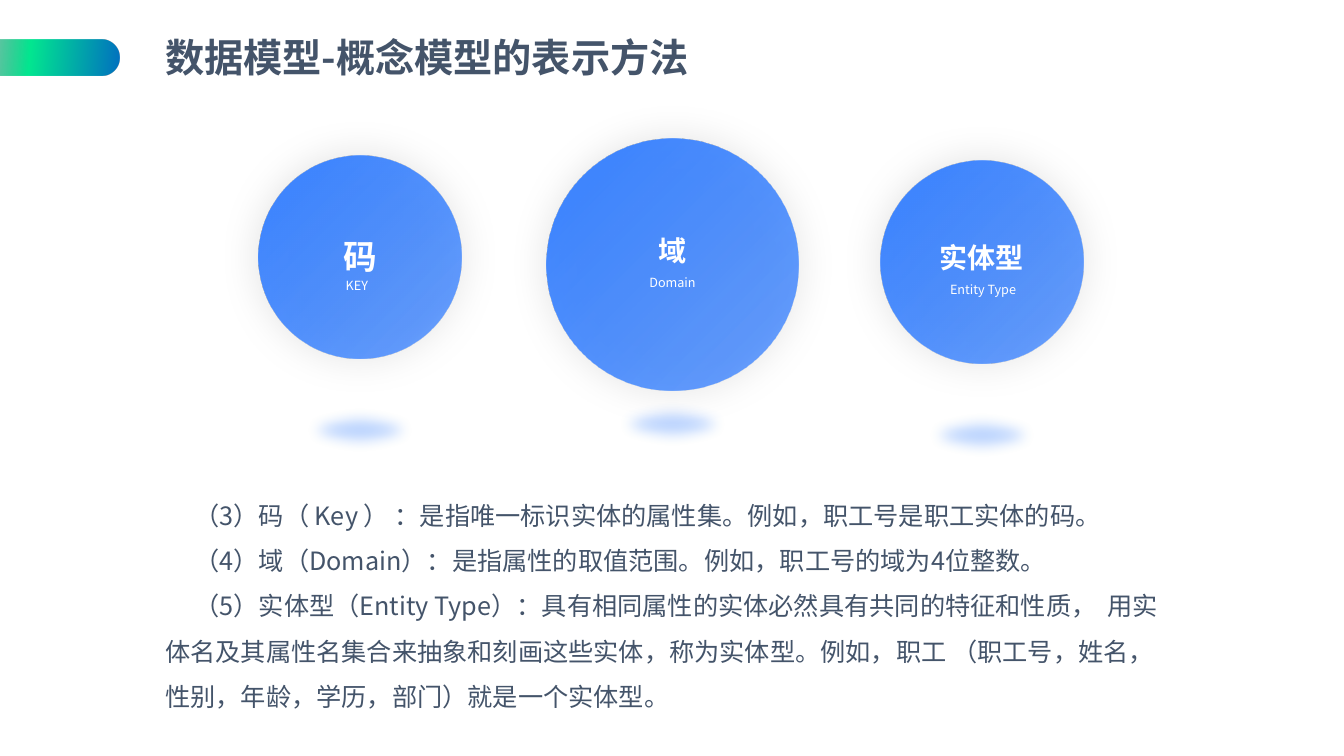
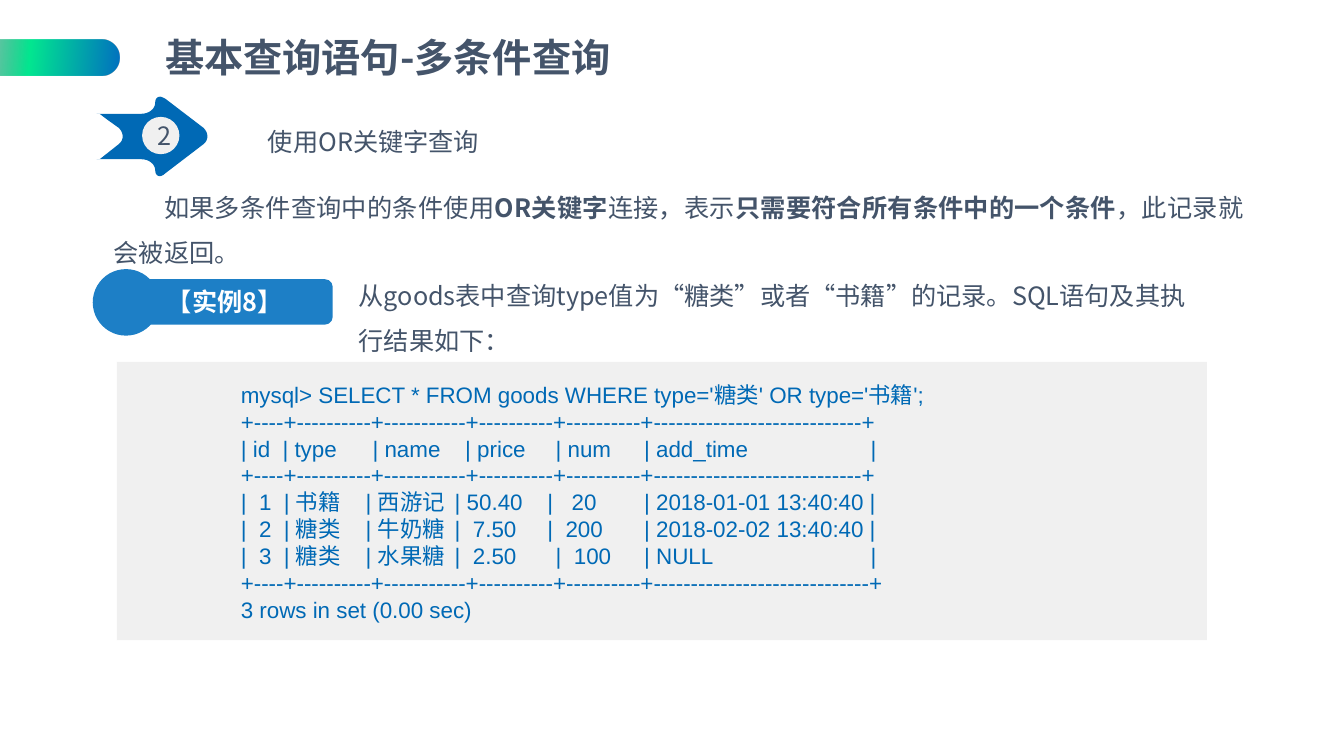
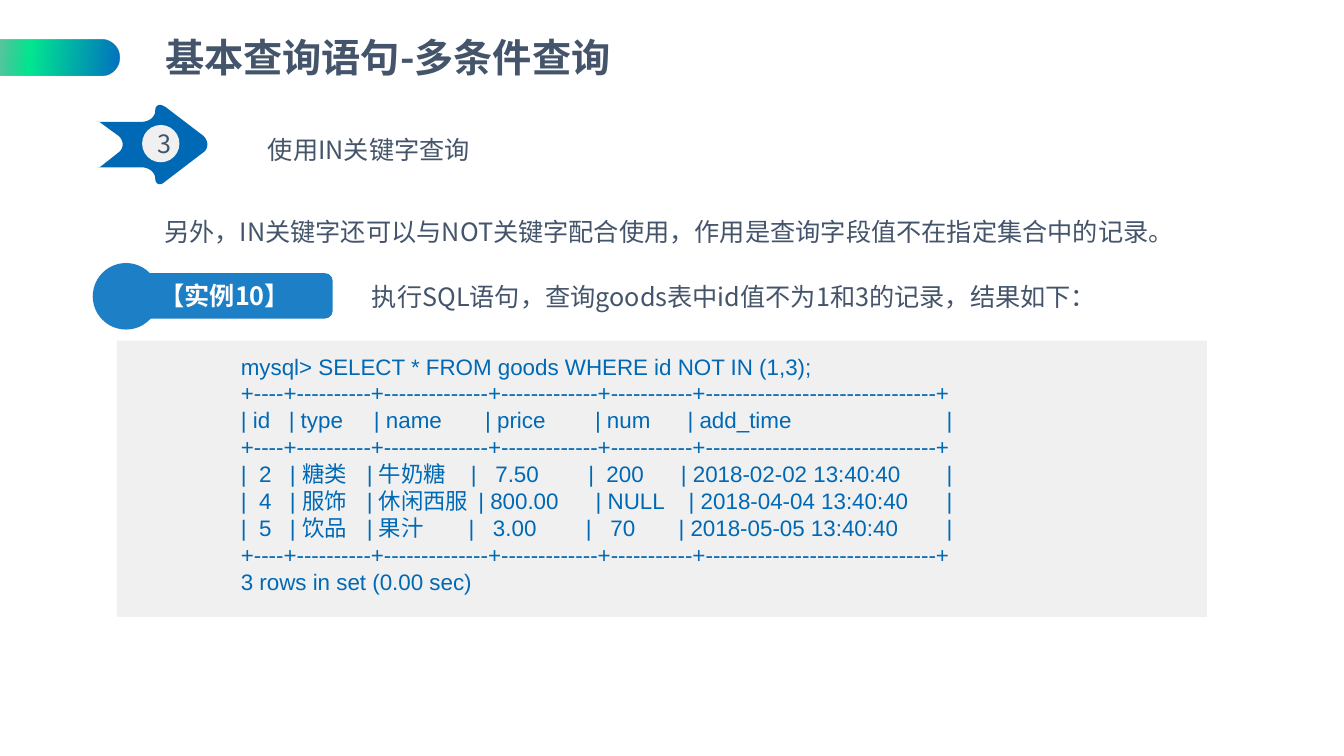
"""Build three lesson slides on data models and multi-condition queries."""
from lxml import etree
from pptx import Presentation
from pptx.dml.color import RGBColor
from pptx.enum.shapes import MSO_SHAPE
from pptx.enum.text import MSO_ANCHOR, PP_ALIGN
from pptx.oxml.ns import qn
from pptx.util import Inches, Pt

OVAL, ROUND, RECT = MSO_SHAPE.OVAL, MSO_SHAPE.ROUNDED_RECTANGLE, MSO_SHAPE.RECTANGLE
LEFT, MID, JUST = PP_ALIGN.LEFT, PP_ALIGN.CENTER, PP_ALIGN.JUSTIFY
TOP, MIDDLE = MSO_ANCHOR.TOP, MSO_ANCHOR.MIDDLE
SANS, CODE = "Noto Sans CJK SC", "Arial"
SLATE = RGBColor(0x44, 0x54, 0x6A)
WHITE = RGBColor(0xFF, 0xFF, 0xFF)
DEEP = RGBColor(0x00, 0x69, 0xB5)
BLUE = RGBColor(0x1D, 0x7F, 0xC6)
SKY = RGBColor(0x39, 0x82, 0xFF)
PALE = RGBColor(0xF0, 0xF0, 0xF0)
BLACK = RGBColor(0, 0, 0)
INK = RGBColor(0x27, 0x2D, 0x3D)
GREEN = RGBColor(0x03, 0xE7, 0x90)
OCEAN = RGBColor(0x00, 0x70, 0xC0)

BAR = [(0, INK, 0), (52, GREEN, 100), (100, OCEAN, 100)]
BALL = [(1, SKY, 100), (100, SKY, 73)]

DISCS = [
    dict(x=6.67, top=1.38, size=2.49, word="域", pt=20, word_y=2.27,
         sub="Domain", sub_x=6.67, sub_y=2.68, glow=3.96),
    dict(x=3.57, top=1.54, size=2.02, word="码", pt=24, word_y=2.29,
         sub="KEY", sub_x=3.54, sub_y=2.71, glow=4.02),
    dict(x=9.74, top=1.59, size=2.02, word="实体型", pt=20, word_y=2.34,
         sub="Entity Type", sub_x=9.75, sub_y=2.75, glow=4.07),
]
TERMS = [
    "（3）码（ Key ） ：是指唯一标识实体的属性集。例如，职工号是职工实体的码。",
    "（4）域（Domain）：是指属性的取值范围。例如，职工号的域为4位整数。",
    "（5）实体型（Entity Type）：具有相同属性的实体必然具有共同的特征和性质，  "
    "用实体名及其属性名集合来抽象和刻画这些实体，称为实体型。例如，职工 "
    "（职工号，姓名，性别，年龄，学历，部门）就是一个实体型。",
]
QUERIES = [
    dict(num="2", arrow=0.96, topic="使用OR关键字查询",
         body="如果多条件查询中的条件使用**OR关键字**连接，表示"
              "**只需要符合所有条件中的一个条件**，此记录就会被返回。",
         body_at=(1.03, 1.71, 11.4, 0.96), tag="【实例8】", tag_y=2.67,
         task="从goods表中查询type值为“糖类”或者“书籍”的记录。SQL语句及其执行结果如下：",
         task_at=(3.46, 2.58, 8.51, 0.96), lead=1.5,
         panel=(1.16, 3.59, 10.81, 2.76), code_y=3.73,
         code=[
             "mysql> SELECT * FROM goods WHERE type='糖类' OR type='书籍';",
             "+----+----------+-----------+----------+----------+----------------------------+",
             "| id  | type\t     | name    | price\t  | num\t| add_time\t    |",
             "+----+----------+-----------+----------+----------+----------------------------+",
             "|  1  | 书籍     | 西游记  | 50.40    |   20\t| 2018-01-01 13:40:40 |",
             "|  2  | 糖类     | 牛奶糖  |  7.50     |  200\t| 2018-02-02 13:40:40 |",
             "|  3  | 糖类     | 水果糖  |  2.50\t  |  100\t| NULL\t\t    |",
             "+----+----------+-----------+----------+----------+-----------------------------+",
             "3 rows in set (0.00 sec)",
         ]),
    dict(num="3", arrow=1.04, topic="使用IN关键字查询",
         body="另外，IN关键字还可以与NOT关键字配合使用，作用是查询字段值不在指定集合中的记录。",
         body_at=(1.03, 1.95, 11.4, 0.5), tag="【实例10】", tag_y=2.61,
         task="执行SQL语句，查询goods表中id值不为1和3的记录，结果如下：",
         task_at=(3.59, 2.74, 8.51, 0.4), lead=None,
         panel=(1.16, 3.38, 10.81, 2.74), code_y=3.45,
         code=[
             "mysql> SELECT * FROM goods WHERE id NOT IN (1,3);",
             "+----+----------+--------------+-------------+-----------+-------------------------------+",
             "| id   | type     | name       | price        | num      | add_time\t\t|",
             "+----+----------+--------------+-------------+-----------+-------------------------------+",
             "|  2   | 糖类    | 牛奶糖     |   7.50        |  200      | 2018-02-02 13:40:40\t|",
             "|  4   | 服饰    | 休闲西服  | 800.00      | NULL    | 2018-04-04 13:40:40\t|",
             "|  5   | 饮品    | 果汁         |   3.00        |   70       | 2018-05-05 13:40:40\t|",
             "+----+----------+--------------+-------------+-----------+-------------------------------+",
             "3 rows in set (0.00 sec)",
         ]),
]
ARROW = [
    (0.63, 0), (0.64, 0, 0.66, 0.01, 0.68, 0.02), (1.06, 0.31),
    (1.11, 0.36, 1.11, 0.43, 1.06, 0.47), (0.68, 0.76),
    (0.63, 0.81, 0.58, 0.79, 0.58, 0.73), (0.58, 0.67, 0.52, 0.62, 0.44, 0.62),
    (0, 0.62), (0.03, 0.62), (0.22, 0.47), (0.27, 0.43, 0.27, 0.36, 0.22, 0.31),
    (0.05, 0.19, 0.03, 0.17, 0.03, 0.17), (0, 0.17), (0.44, 0.17),
    (0.52, 0.17, 0.58, 0.12, 0.58, 0.06), (0.58, 0.02, 0.6, 0, 0.63, 0),
]


def node(base, tag, **attrs):
    item = etree.SubElement(base, qn("a:" + tag))
    for key, val in attrs.items():
        item.set(key, str(val))
    return item


def tint(base, color, alpha):
    node(node(base, "srgbClr", val=color), "alpha", val=alpha * 1000)


def write(shape, text, size=18, color=SLATE, bold=False, font=SANS, align=LEFT,
          lead=None, indent=0, anchor=TOP, tabs=0):
    frame = shape.text_frame
    frame.word_wrap = True
    frame.vertical_anchor = anchor
    for i, line in enumerate([text] if isinstance(text, str) else text):
        para = frame.add_paragraph() if i else frame.paragraphs[0]
        para.alignment = align
        if lead:
            para.line_spacing = lead
        props = para._p.get_or_add_pPr()
        if indent:
            props.set("marL", "0")
            props.set("indent", str(Inches(indent)))
        if tabs:
            stops = node(props, "tabLst")
            for n in range(1, tabs + 1):
                node(stops, "tab", pos=Inches(n), algn="l")
        for j, part in enumerate(line.split("**")):
            run = para.add_run()
            run.text = part
            run.font.size = Pt(size)
            run.font.bold = bold or j % 2 == 1
            run.font.color.rgb = color
            run.font.name = font
            node(run._r.get_or_add_rPr(), "ea", typeface=SANS)


def label(slide, at, text, **style):
    write(slide.shapes.add_textbox(*map(Inches, at)), text, **style)


def draw(slide, kind, at, fill=None):
    shape = slide.shapes.add_shape(kind, *map(Inches, at))
    shape.shadow.inherit = False
    shape.line.fill.background()
    if fill is not None:
        shape.fill.solid()
        shape.fill.fore_color.rgb = fill
    return shape


def blend(shape, stops, angle):
    shape.fill.gradient()
    grad = shape._element.spPr.find(qn("a:gradFill"))
    for child in list(grad):
        grad.remove(child)
    marks = node(grad, "gsLst")
    for pos, color, alpha in stops:
        tint(node(marks, "gs", pos=pos * 1000), color, alpha)
    node(grad, "lin", ang=angle * 60000, scaled=0)


def effects(shape):
    return shape._element.spPr.find(qn("a:effectLst"))


def start(deck, title):
    slide = deck.slides.add_slide(deck.slide_layouts[6])
    bar = draw(slide, ROUND, (-0.68, 0.39, 1.86, 0.36))
    bar.adjustments[0] = 0.5
    blend(bar, BAR, 5)
    label(slide, (1.54, 0.33, 9.17, 0.52), title, size=28, bold=True,
          lead=0.9, anchor=MIDDLE)
    return slide


def disc(slide, x, top, size, word, pt, word_y, sub, sub_x, sub_y, glow):
    ball = draw(slide, OVAL, (x - size / 2, top, size, size))
    blend(ball, BALL, 45)
    shade = node(effects(ball), "outerShdw", blurRad=Pt(30), dist=0, dir=0,
                 algn="ctr", rotWithShape=0)
    tint(shade, BLACK, 13)
    wide = 2.46
    label(slide, (x - wide / 2, word_y, wide, 0.44), word, size=pt,
          color=WHITE, bold=True, align=MID)
    label(slide, (sub_x - wide / 2, sub_y, wide, 0.35), sub, size=9,
          color=WHITE, align=MID)
    spot = draw(slide, OVAL, (x - 0.7, glow, 1.4, 0.49), SKY)
    hue = spot._element.spPr.find(qn("a:solidFill"))[0]
    node(hue, "alpha", val=34000)
    node(effects(spot), "softEdge", rad=Pt(10))


def trace(path, steps=8):
    last = path[0]
    dots = [last]
    for seg in path[1:]:
        if len(seg) == 2:
            dots.append(seg)
        else:
            ctrl = [last, seg[:2], seg[2:4], seg[4:]]
            for n in range(1, steps + 1):
                t = n / steps
                u = 1 - t
                mix = (u ** 3, 3 * u * u * t, 3 * u * t * t, t ** 3)
                dots.append(tuple(sum(m * c[k] for m, c in zip(mix, ctrl))
                                  for k in (0, 1)))
        last = dots[-1]
    return dots


def badge(slide, num, top):
    dots = [(Inches(0.96 + x), Inches(top + y)) for x, y in trace(ARROW)]
    pen = slide.shapes.build_freeform(*dots[0], scale=1.0)
    pen.add_line_segments(dots[1:], close=True)
    arrow = pen.convert_to_shape()
    arrow.shadow.inherit = False
    arrow.fill.solid()
    arrow.fill.fore_color.rgb = DEEP
    arrow.line.fill.background()
    write(draw(slide, OVAL, (1.41, top + 0.2, 0.37, 0.37), PALE), num,
          align=MID, anchor=MIDDLE)


def query(slide, num, arrow, topic, body, body_at, tag, tag_y, task, task_at,
          lead, panel, code_y, code):
    label(slide, (2.06, arrow + 0.09, 10.14, 0.5), topic, lead=1.5, indent=0.5)
    badge(slide, num, arrow)
    label(slide, body_at, body, align=JUST, lead=1.5, indent=0.5)
    draw(slide, OVAL, (0.92, tag_y, 0.66, 0.66), BLUE)
    write(draw(slide, ROUND, (1.16, tag_y + 0.1, 2.14, 0.45), BLUE), tag,
          color=WHITE, bold=True, align=MID, anchor=MIDDLE)
    label(slide, task_at, task, lead=lead)
    draw(slide, RECT, panel, PALE)
    label(slide, (2.29, code_y, 9.38, 2.52), code, size=16, color=DEEP,
          font=CODE, tabs=8)


def main():
    deck = Presentation()
    deck.slide_width, deck.slide_height = Inches(13.33), Inches(7.5)
    slide = start(deck, "数据模型-概念模型的表示方法")
    for item in DISCS:
        disc(slide, **item)
    label(slide, (1.54, 4.76, 10.25, 2.32), TERMS, lead=1.5, indent=0.29)
    for item in QUERIES:
        query(start(deck, "基本查询语句-多条件查询"), **item)
    deck.save("out.pptx")


if __name__ == "__main__":
    main()
